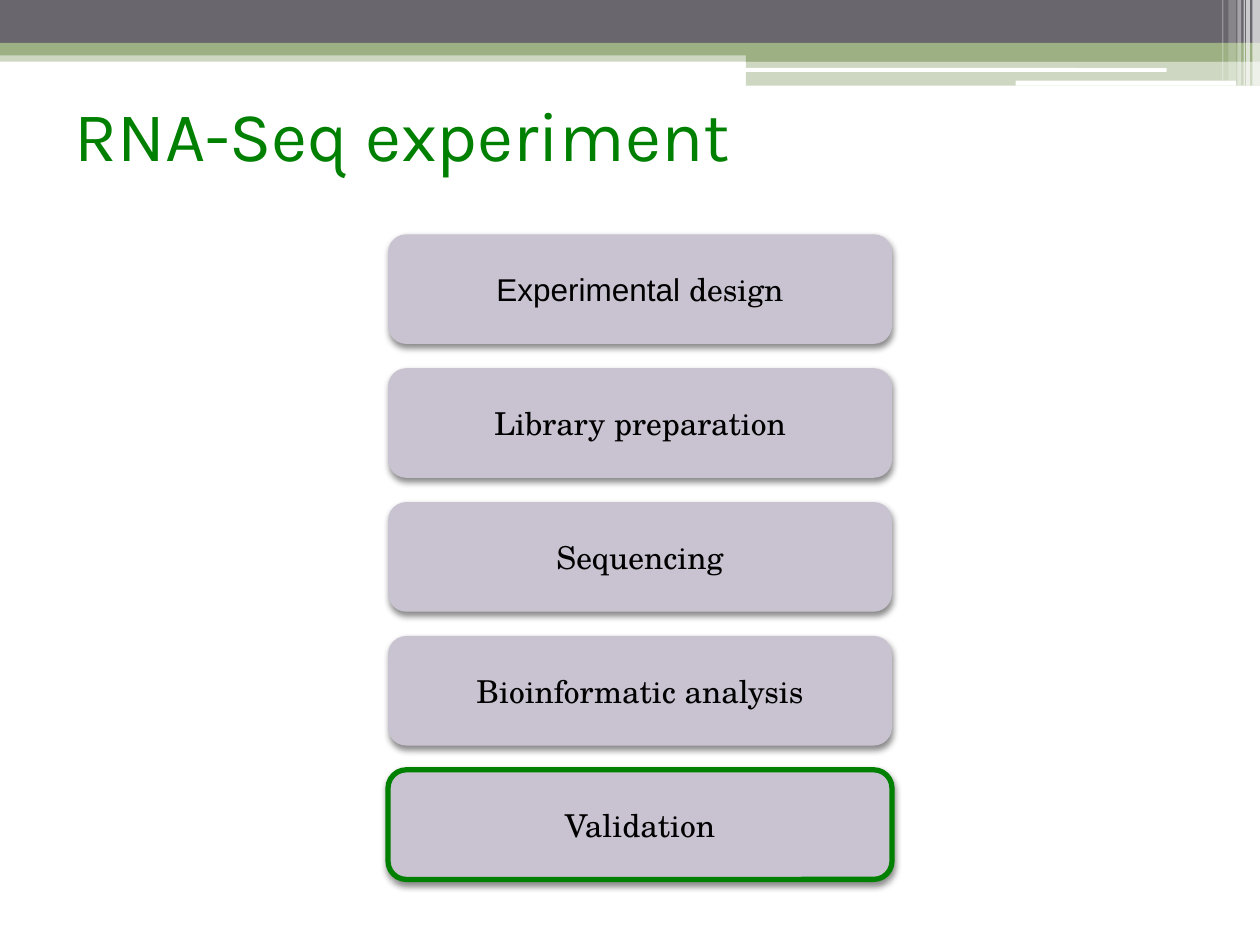
from lxml import etree
from pptx import Presentation, util as u
from pptx.dml.color import RGBColor
from pptx.enum import shapes, text
from pptx.oxml import parse_xml
from pptx.oxml.ns import nsdecls, qn

GREEN = RGBColor(0x00, 0x80, 0x00)
SAGE = RGBColor(0x9C, 0xB0, 0x84)
GREY = RGBColor(0x69, 0x67, 0x6D)
LILAC = RGBColor(0xC9, 0xC2, 0xD1)
WHITE = RGBColor(0xFF, 0xFF, 0xFF)
BLACK = RGBColor(0x00, 0x00, 0x00)

SERIF, SANS, HEAD = "TeX Gyre Schola", "Arial", "Karla"
RECT = shapes.MSO_SHAPE.RECTANGLE
ROUND = shapes.MSO_SHAPE.ROUNDED_RECTANGLE

# Grid of the step boxes, in inches
LEFT, TOP, WIDE, HIGH, PITCH = 3.08, 1.86, 4, 0.87, 1.0625

# Header bands: left, top, width, height, colour, opacity in percent
BANDS = [
    (0, 0.4, 10, 0.09, SAGE, 50),
    (0, 0, 10, 0.34, GREY, 100),
    (0, 0.34, 10, 0.1, SAGE, 100),
    (5.92, 0.39, 4.08, 0.1, SAGE, 100),
    (5.92, 0.48, 4.08, 0.2, SAGE, 50),
]
# White slots cut into the bands: left, top, width, height
SLOTS = [(5.91, 0.54, 3.35, 0.03), (8.06, 0.64, 1.75, 0.04)]
# White stripes at the right edge: left, width, height, opacity
STRIPES = [
    (9.94, 0.06, 0.68, 65),
    (9.89, 0.03, 0.68, 65),
    (9.87, 0.01, 0.68, 60),
    (9.82, 0.03, 0.68, 40),
    (9.75, 0.06, 0.64, 20),
    (9.7, 0.01, 0.64, 30),
]
STEPS = [
    [("Experimental", SANS), (" design", SERIF)],
    [("Library preparation", SERIF)],
    [("Sequencing", SERIF)],
    [("Bioinformatic analysis", SERIF)],
    [("Validation", SERIF)],
]


def add_box(slide, kind, left, top, wide, high, color, alpha=100):
    """Add a plain filled shape without a line."""
    box = slide.shapes.add_shape(kind, *map(u.Inches, (left, top, wide, high)))
    box.shadow.inherit = False
    box.line.fill.background()
    box.fill.solid()
    box.fill.fore_color.rgb = color
    if alpha < 100:
        tone = box.fill._xPr.find(qn("a:solidFill"))[0]
        etree.SubElement(tone, qn("a:alpha"), val=str(alpha * 1000))
    return box


def add_run(para, words, font, size, color):
    run = para.add_run()
    run.text = words
    run.font.name = font
    run.font.size = u.Pt(size)
    run.font.color.rgb = color


def add_shade(box):
    """Give the box a soft shadow straight below it."""
    shade = parse_xml(
        f'<a:outerShdw {nsdecls("a")} blurRad="{u.Pt(4)}" dist="{u.Pt(2)}" '
        'dir="5400000" rotWithShape="0"><a:srgbClr val="000000">'
        '<a:alpha val="45000"/></a:srgbClr></a:outerShdw>')
    box._element.spPr.find(qn("a:effectLst")).append(shade)


def add_step(slide, row, runs):
    box = add_box(slide, ROUND, LEFT, TOP + row * PITCH, WIDE, HIGH, LILAC)
    add_shade(box)
    frame = box.text_frame
    frame.word_wrap = True
    frame.vertical_anchor = text.MSO_ANCHOR.MIDDLE
    para = frame.paragraphs[0]
    para.alignment = text.PP_ALIGN.CENTER
    for words, font in runs:
        add_run(para, words, font, 18, BLACK)
    return box


def add_header(slide):
    for band in BANDS:
        add_box(slide, RECT, *band[:4], color=band[4], alpha=band[5])
    for slot in SLOTS:
        add_box(slide, ROUND, *slot, color=WHITE)
    for left, wide, high, alpha in STRIPES:
        add_box(slide, RECT, left, 0, wide, high, WHITE, alpha)


def set_title(slide, words):
    title = slide.shapes.title
    title.left, title.top = u.Inches(0.59), u.Inches(0.68)
    title.width, title.height = u.Inches(9.25), u.Inches(0.94)
    frame = title.text_frame
    frame.margin_left = frame.margin_right = frame.margin_bottom = 0
    frame.margin_top = u.Inches(0.05)
    frame.vertical_anchor = text.MSO_ANCHOR.TOP
    para = frame.paragraphs[0]
    para.alignment = text.PP_ALIGN.LEFT
    add_run(para, words, HEAD, 40, GREEN)


def main():
    deck = Presentation()
    deck.slide_width, deck.slide_height = u.Inches(10), u.Inches(7.5)
    slide = deck.slides.add_slide(deck.slide_layouts[5])

    # Header and title
    add_header(slide)
    set_title(slide, "RNA-Seq experiment")

    # Steps from top to bottom, the last one outlined
    boxes = [add_step(slide, row, runs) for row, runs in enumerate(STEPS)]
    boxes[-1].line.color.rgb = GREEN
    boxes[-1].line.width = u.Pt(3)

    deck.save("out.pptx")


if __name__ == "__main__":
    main()
